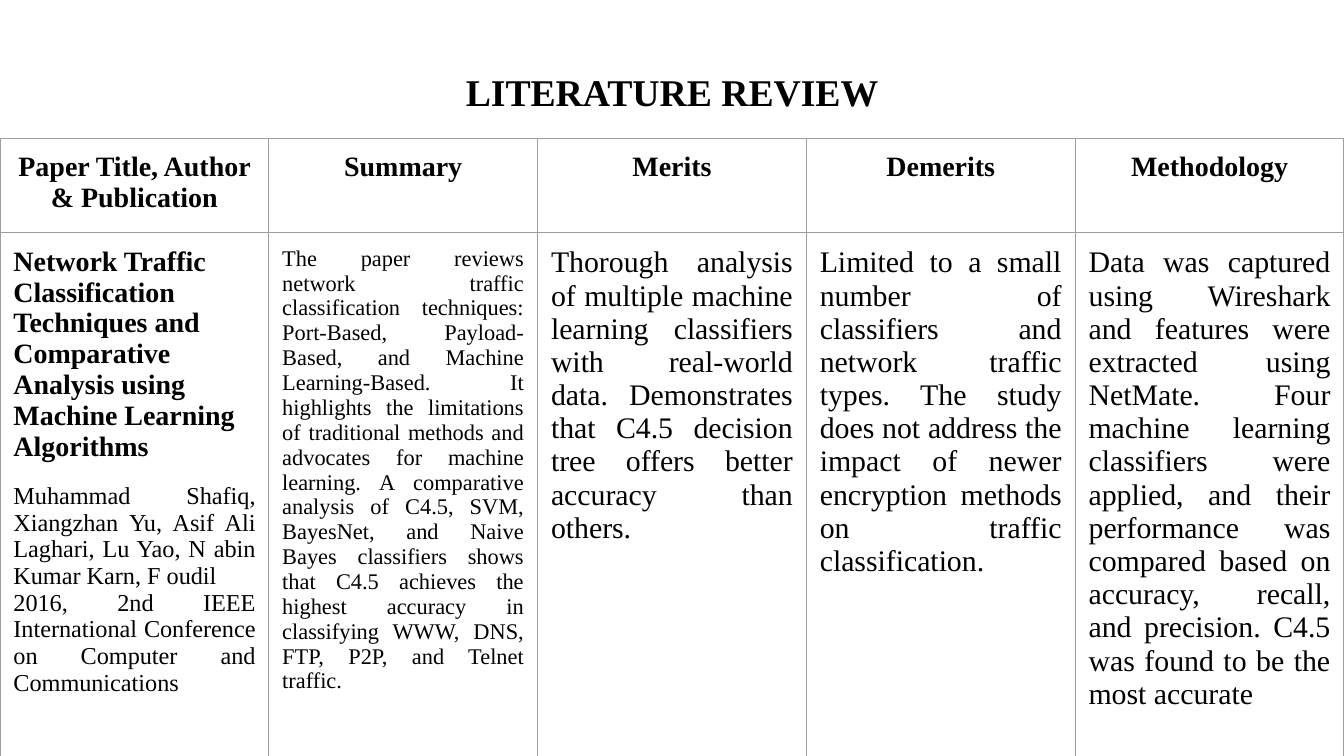
"""Build the literature review slide: a title above a five-column table."""
from lxml import etree
from pptx import Presentation
from pptx.dml import color
from pptx.enum import text
from pptx.oxml import ns
from pptx.util import Pt

FONT = "Times New Roman"
COLORS = {"ink": "000000", "grid": "9E9E9E", "paper": "FFFFFF"}
LEFT, CENTER, JUSTIFY = text.PP_ALIGN.LEFT, text.PP_ALIGN.CENTER, text.PP_ALIGN.JUSTIFY
SLIDE_WIDTH, SLIDE_HEIGHT = 720, 405
TABLE_TOP, TABLE_HEIGHT, MIN_ROW_HEIGHTS = 74.3, 343.4, (44, 30)
INSET, BORDER = 7.2, 0.75

TITLE = "LITERATURE REVIEW"
HEADINGS = ["Paper Title, Author & Publication", "Summary", "Merits", "Demerits", "Methodology"]
REVIEW = [
    [
        ("Network Traffic Classification Techniques and Comparative Analysis using "
         "Machine Learning Algorithms", 15, True, LEFT, 0),
        ("Muhammad Shafiq, Xiangzhan Yu, Asif Ali Laghari, Lu Yao, N abin Kumar Karn, F oudil",
         13, False, JUSTIFY, 11),
        ("2016, 2nd IEEE International Conference on Computer and Communications",
         13, False, JUSTIFY, 0),
    ],
    [("The paper reviews network traffic classification techniques: Port-Based, Payload-Based, "
      "and Machine Learning-Based. It highlights the limitations of traditional methods and "
      "advocates for machine learning. A comparative analysis of C4.5, SVM, BayesNet, and Naive "
      "Bayes classifiers shows that C4.5 achieves the highest accuracy in classifying WWW, DNS, "
      "FTP, P2P, and Telnet traffic.", 12, False, JUSTIFY, 0)],
    [("Thorough analysis of multiple machine learning classifiers with real-world data. "
      "Demonstrates that C4.5 decision tree offers better accuracy than others.",
      16, False, JUSTIFY, 0)],
    [("Limited to a small number of classifiers and network traffic types. The study does not "
      "address the impact of newer encryption methods on traffic classification.",
      16, False, JUSTIFY, 0)],
    [("Data was captured using Wireshark and features were extracted using NetMate. Four machine "
      "learning classifiers were applied, and their performance was compared based on accuracy, "
      "recall, and precision. C4.5 was found to be the most accurate", 16, False, JUSTIFY, 0)],
]
ROWS = [[[(heading, 15, True, CENTER, 0)] for heading in HEADINGS], REVIEW]


def write(frame, paragraphs):
    frame.word_wrap = True
    for index, (wording, size, bold, align, gap) in enumerate(paragraphs):
        paragraph = frame.add_paragraph() if index else frame.paragraphs[0]
        paragraph.text = wording
        paragraph.alignment = align
        if gap:
            paragraph.space_before = Pt(gap)
        font = paragraph.font
        font.name, font.size, font.bold = FONT, Pt(size), bold
        font.color.rgb = color.RGBColor.from_string(COLORS["ink"])


def set_insets(holder):
    holder.margin_left = holder.margin_right = Pt(INSET)
    holder.margin_top = holder.margin_bottom = Pt(INSET)


def add_borders(cell):
    properties = cell._tc.get_or_add_tcPr()
    for position, side in enumerate(("lnL", "lnR", "lnT", "lnB")):
        line = etree.Element(ns.qn(f"a:{side}"), w=str(Pt(BORDER)))
        fill = etree.SubElement(line, ns.qn("a:solidFill"))
        etree.SubElement(fill, ns.qn("a:srgbClr"), val=COLORS["grid"])
        properties.insert(position, line)


def add_title(slide):
    title = slide.shapes.add_textbox(Pt(206.5), Pt(29.8), Pt(307), Pt(45)).text_frame
    set_insets(title)
    title.vertical_anchor = text.MSO_ANCHOR.TOP
    write(title, [(TITLE, 20.2, True, CENTER, 0)])


def add_review(slide):
    holder = slide.shapes.add_table(
        len(ROWS), len(HEADINGS), Pt(0), Pt(TABLE_TOP), Pt(SLIDE_WIDTH), Pt(TABLE_HEIGHT)
    )
    review = holder.table
    review.first_row = review.horz_banding = False
    for column in review.columns:
        column.width = Pt(SLIDE_WIDTH / len(HEADINGS))
    for row, height, contents in zip(review.rows, MIN_ROW_HEIGHTS, ROWS):
        row.height = Pt(height)
        for cell, paragraphs in zip(row.cells, contents):
            set_insets(cell)
            cell.fill.background()
            add_borders(cell)
            write(cell.text_frame, paragraphs)
    holder.height = Pt(TABLE_HEIGHT)


def main():
    deck = Presentation()
    deck.slide_width, deck.slide_height = Pt(SLIDE_WIDTH), Pt(SLIDE_HEIGHT)
    slide = deck.slides.add_slide(deck.slide_layouts[6])
    slide.background.fill.solid()
    slide.background.fill.fore_color.rgb = color.RGBColor.from_string(COLORS["paper"])
    add_title(slide)
    add_review(slide)
    deck.save("out.pptx")


if __name__ == "__main__":
    main()
